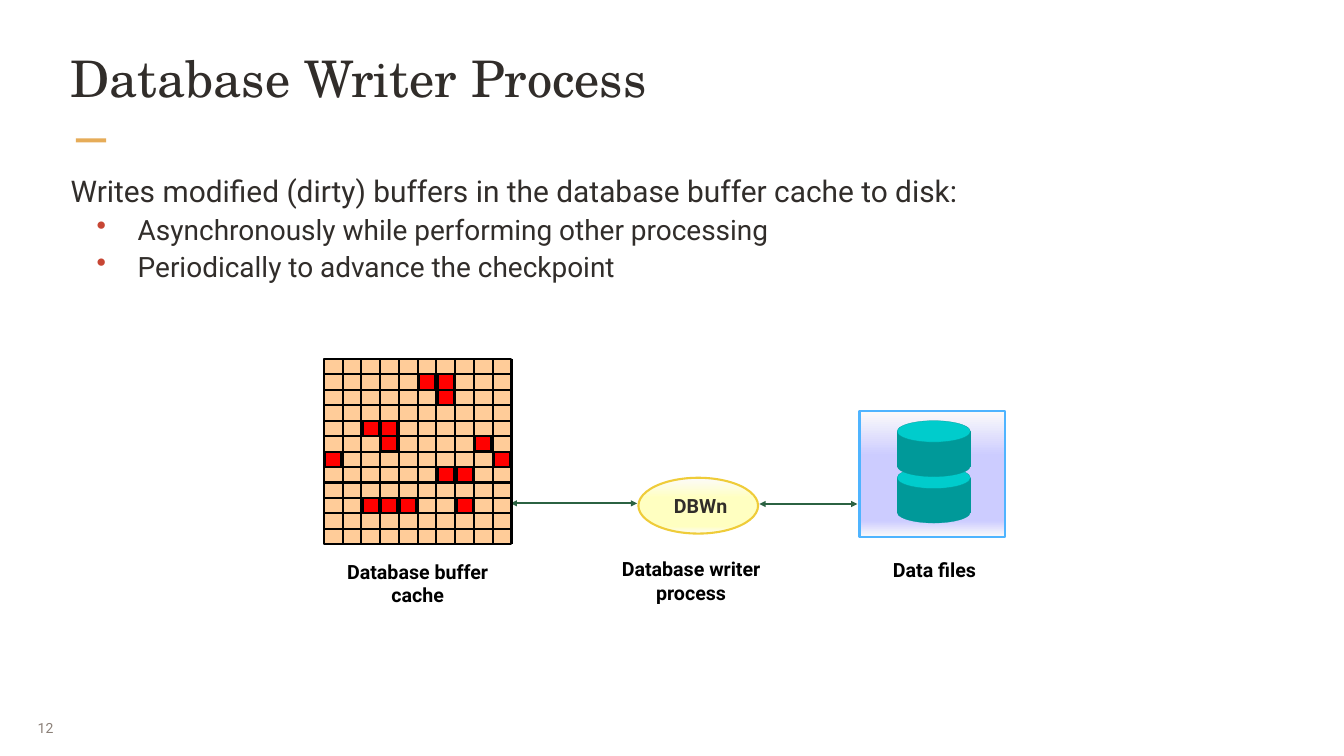
from copy import deepcopy
from dataclasses import dataclass

from pptx import Presentation
from pptx.dml.color import RGBColor
from pptx.enum.shapes import MSO_CONNECTOR, MSO_SHAPE
from pptx.enum.text import MSO_ANCHOR, PP_ALIGN
from pptx.oxml.ns import qn
from pptx.util import Pt

RECT, OVAL = MSO_SHAPE.RECTANGLE, MSO_SHAPE.OVAL
STRAIGHT = MSO_CONNECTOR.STRAIGHT
TOP, MIDDLE = MSO_ANCHOR.TOP, MSO_ANCHOR.MIDDLE
LEFT, CENTER, JUSTIFY = PP_ALIGN.LEFT, PP_ALIGN.CENTER, PP_ALIGN.JUSTIFY


@dataclass(frozen=True)
class Theme:
    heading: str = "TeX Gyre Schola"
    text: str = "Roboto"
    title_size: int = 54
    lead_size: int = 32
    bullet_size: int = 30
    label_size: int = 21
    number_size: int = 15
    ink: str = "312D2A"
    black: str = "000000"
    muted: str = "8B8078"
    accent: str = "E6AC58"
    bullet: str = "C74634"
    arrow: str = "2B6242"
    buffer: str = "FFCC99"
    dirty: str = "FF0000"
    disk: str = "009999"
    disk_top: str = "00CCCC"
    pale: str = "FCFBFA"
    files: str = "CCCCFF"
    files_edge: str = "4FB4FF"
    process: str = "FFFFC1"
    process_edge: str = "EFCC39"
    stroke: float = 2.25
    hairline: float = 0.25


THEME = Theme()

TITLE = "Database Writer Process"
LEAD = "Writes modified (dirty) buffers in the database buffer cache to disk:"
BULLETS = [
    "Asynchronously while performing other processing",
    "Periodically to advance the checkpoint",
]
PROCESS = "DBWn"
PAGE = "12"
LABELS = [
    ("Database buffer cache", 348.5, 596.2, 58.3),
    ("Database writer process", 641.5, 593.3, 58.3),
    ("Data files", 902.2, 594, 32.4),
]
ARROWS = [(547.2, 682.6, 539.3), (813.6, 918.7, 540)]

CACHE_LEFT, CACHE_TOP = 347, 384.5
COLUMNS, ROWS = 10, 12
CELL_W, CELL_H = 20.1, 16.56
DIRTY_WIDTH = 17.3
DIRTY_CELLS = {
    1: [5, 6], 2: [6], 4: [2, 3], 5: [3, 8],
    6: [0, 9], 7: [6, 7], 9: [2, 3, 4, 7],
}

FILES_BOX = (920.9, 439.9, 156.2, 135.4)
PROCESS_BOX = (684, 511.9, 128.2, 59.8)
DISK_LEFT, DISK_WIDTH = 961.2, 78.5
DISK_TOPS = [500.4, 450.7]
DISK_BODY, DISK_CAP = 37, 23


def rgb(code):
    return RGBColor.from_string(code)


def style(run_or_paragraph, size, color, bold=False, face=THEME.text):
    font = run_or_paragraph.font
    font.name, font.size, font.bold = face, Pt(size), bold
    font.color.rgb = rgb(color)


def setup_frame(frame, anchor=TOP, wrap=True, margins=(7.2, 3.6)):
    frame.word_wrap = wrap
    frame.vertical_anchor = anchor
    frame.margin_left = frame.margin_right = Pt(margins[0])
    frame.margin_top = frame.margin_bottom = Pt(margins[1])
    return frame


def add_text(slide, box, **options):
    return setup_frame(slide.shapes.add_textbox(*map(Pt, box)).text_frame, **options)


def add_block(slide, kind, box, fill, edge=None, width=THEME.stroke):
    block = slide.shapes.add_shape(kind, *map(Pt, box))
    block.shadow.inherit = False
    block.fill.solid()
    block.fill.fore_color.rgb = rgb(fill)
    if edge:
        block.line.color.rgb = rgb(edge)
        block.line.width = Pt(width)
    else:
        block.line.fill.background()
    return block


def shade(block, edge, middle):
    block.fill.gradient()
    block.fill.gradient_angle = 270
    stop_list = block._element.spPr.find(".//" + qn("a:gsLst"))
    for _ in range(2):
        stop_list.append(deepcopy(stop_list[0]))
    colors = [(0, edge), (0.36, middle), (0.87, middle), (1, edge)]
    for stop, (position, color) in zip(block.fill.gradient_stops, colors):
        stop.position = position
        stop.color.rgb = rgb(color)


def add_line(slide, x1, y1, x2, y2, color, arrows=False):
    line = slide.shapes.add_connector(STRAIGHT, Pt(x1), Pt(y1), Pt(x2), Pt(y2))
    line.line.color.rgb = rgb(color)
    line.line.width = Pt(THEME.stroke)
    properties = line._element.spPr
    if arrows:
        outline = properties.find(qn("a:ln"))
        for end in ("a:headEnd", "a:tailEnd"):
            outline.append(outline.makeelement(qn(end), {"type": "triangle"}))
    properties.append(properties.makeelement(qn("a:effectLst"), {}))


def add_bullet(paragraph):
    properties = paragraph._p.get_or_add_pPr()
    properties.set("marL", str(Pt(72)))
    properties.set("indent", str(Pt(-44)))
    color = properties.makeelement(qn("a:buClr"), {})
    color.append(color.makeelement(qn("a:srgbClr"), {"val": THEME.bullet}))
    properties.append(color)
    properties.append(properties.makeelement(qn("a:buChar"), {"char": "•"}))


def add_copy(slide):
    title = slide.shapes.title
    title.left, title.top, title.width, title.height = map(Pt, (73.4, 48.2, 1293, 92.2))
    frame = setup_frame(title.text_frame, margins=(2.2, 2.2))
    frame.text = TITLE
    frame.paragraphs[0].alignment = LEFT
    style(frame.paragraphs[0].runs[0], THEME.title_size, THEME.ink, face=THEME.heading)
    add_block(slide, RECT, (81.4, 148.3, 32.4, 4.3), THEME.accent)

    body = add_text(slide, (73.4, 179.3, 1293, 123.8), margins=(2.2, 2.2))
    body.text = "\n".join([LEAD, *BULLETS])
    for index, paragraph in enumerate(body.paragraphs):
        paragraph.line_spacing = 1.1
        if index:
            paragraph.level = 1
            add_bullet(paragraph)
        size = THEME.bullet_size if index else THEME.lead_size
        style(paragraph.runs[0], size, THEME.ink)

    number = add_text(slide, (31, 758.9, 46.8, 41.8), anchor=MIDDLE, wrap=False, margins=(9.4, 5))
    number.text = PAGE
    number.paragraphs[0].alignment = JUSTIFY
    style(number.paragraphs[0].runs[0], THEME.number_size, THEME.muted)


def add_cache(slide):
    width, height = COLUMNS * CELL_W, ROWS * CELL_H
    right, bottom = CACHE_LEFT + width, CACHE_TOP + height
    add_block(slide, RECT, (CACHE_LEFT, CACHE_TOP, width, height), THEME.buffer, THEME.black)
    for column in range(COLUMNS + 1):
        x = CACHE_LEFT + column * CELL_W
        add_line(slide, x, CACHE_TOP, x, bottom, THEME.black)
    for row in range(ROWS + 1):
        y = CACHE_TOP + row * CELL_H
        add_line(slide, CACHE_LEFT, y, right, y, THEME.black)
    inset = (CELL_W - DIRTY_WIDTH) / 2
    for row, columns in DIRTY_CELLS.items():
        for column in columns:
            cell = (CACHE_LEFT + column * CELL_W + inset, CACHE_TOP + row * CELL_H,
                    DIRTY_WIDTH, CELL_H)
            add_block(slide, RECT, cell, THEME.dirty, THEME.black)


def add_files(slide):
    files = add_block(slide, RECT, FILES_BOX, THEME.files, THEME.files_edge)
    shade(files, THEME.pale, THEME.files)
    for top in DISK_TOPS:
        parts = [
            (RECT, top + DISK_CAP / 2, DISK_BODY, THEME.disk),
            (OVAL, top, DISK_CAP, THEME.disk_top),
            (OVAL, top + DISK_BODY, DISK_CAP, THEME.disk),
        ]
        for kind, y, height, color in parts:
            add_block(slide, kind, (DISK_LEFT, y, DISK_WIDTH, height), color,
                      THEME.disk, THEME.hairline)


def add_process(slide):
    process = add_block(slide, OVAL, PROCESS_BOX, THEME.process, THEME.process_edge)
    shade(process, THEME.pale, THEME.process)
    frame = setup_frame(process.text_frame, anchor=MIDDLE, wrap=False, margins=(10.8, 5.8))
    frame.margin_left = Pt(16)
    frame.text = PROCESS
    frame.paragraphs[0].alignment = CENTER
    style(frame.paragraphs[0].runs[0], THEME.label_size, THEME.ink, bold=True)


def main():
    deck = Presentation()
    deck.slide_width, deck.slide_height = Pt(1440), Pt(810)
    slide = deck.slides.add_slide(deck.slide_layouts[5])
    add_copy(slide)
    add_files(slide)
    for start, end, y in ARROWS:
        add_line(slide, start, y, end, y, THEME.arrow, arrows=True)
    for label, left, top, height in LABELS:
        frame = add_text(slide, (left, top, 198, height))
        frame.text = label
        frame.paragraphs[0].alignment = CENTER
        style(frame.paragraphs[0].runs[0], THEME.label_size, THEME.black, bold=True)
    add_process(slide)
    add_cache(slide)
    deck.save("out.pptx")


if __name__ == "__main__":
    main()
